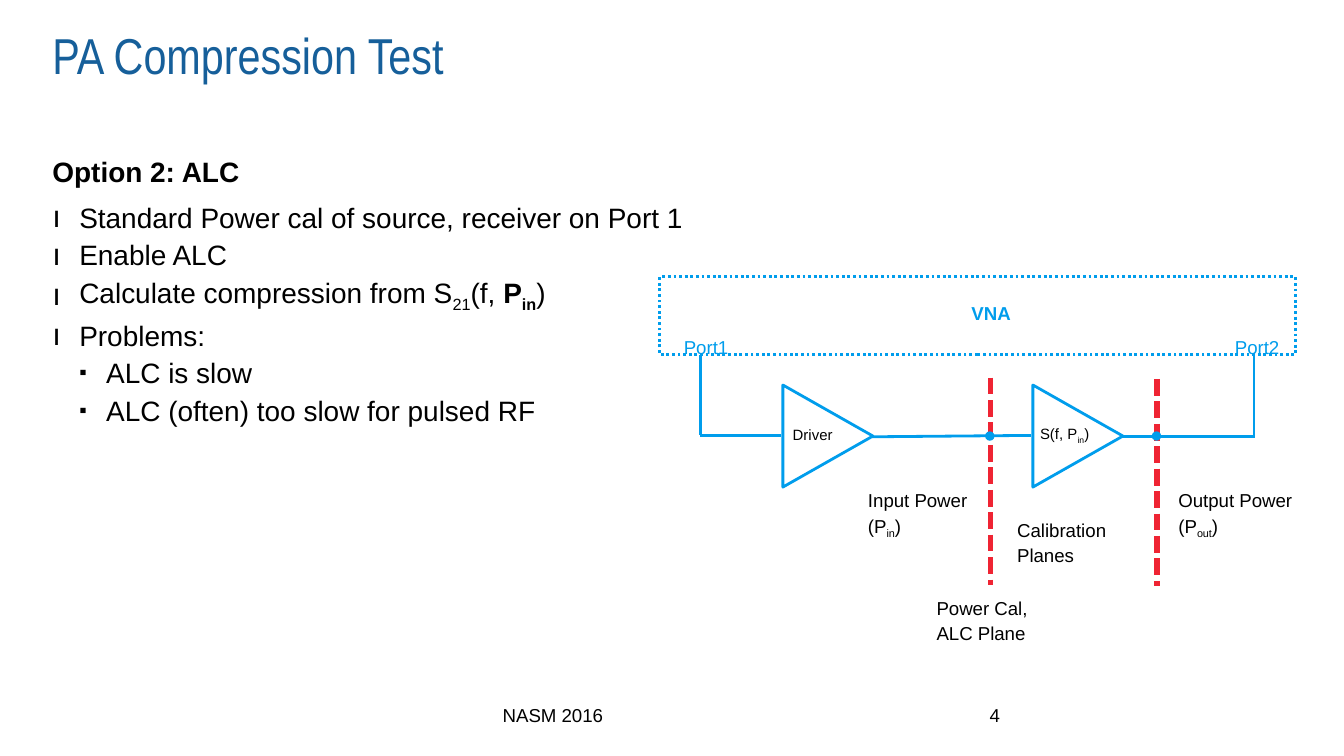
from lxml import etree
from pptx import Presentation
from pptx.dml.color import RGBColor
from pptx.enum.dml import MSO_LINE
from pptx.enum.shapes import MSO_CONNECTOR, MSO_SHAPE
from pptx.enum.text import MSO_ANCHOR, PP_ALIGN
from pptx.oxml.ns import qn
from pptx.util import Inches, Pt

BLUE, RED, BLACK, WHITE, TITLE = "009DEC", "EF2433", "000000", "FFFFFF", "165F9A"
STRAIGHT = MSO_CONNECTOR.STRAIGHT
RECT, TRIANGLE, OVAL = MSO_SHAPE.RECTANGLE, MSO_SHAPE.ISOSCELES_TRIANGLE, MSO_SHAPE.OVAL
DOTS, DASHES = MSO_LINE.ROUND_DOT, MSO_LINE.SQUARE_DOT
TOP, BOTTOM = MSO_ANCHOR.TOP, MSO_ANCHOR.BOTTOM
LEFT, RIGHT = PP_ALIGN.LEFT, PP_ALIGN.RIGHT


def color(value):
    return RGBColor.from_string(value)


def add_frame(s, at, inset=True, anchor=TOP):
    tf = s.shapes.add_textbox(*map(Inches, at)).text_frame
    tf.word_wrap = True
    tf.vertical_anchor = anchor
    if not inset:
        tf.margin_left = tf.margin_right = tf.margin_top = tf.margin_bottom = 0
    return tf


def write(p, parts, size, ink=BLACK, bold=False, font="Arial"):
    """Parts are strings; a pair adds flags: s for subscript, b for bold."""
    for part in [parts] if isinstance(parts, str) else parts:
        if part == "\n":
            p.add_line_break()
            continue
        text, flags = (part, "") if isinstance(part, str) else part
        r = p.add_run()
        r.text = text
        r.font.size, r.font.name = Pt(size), font
        r.font.bold = bold or "b" in flags
        r.font.color.rgb = color(ink)
        if "s" in flags:
            r._r.get_or_add_rPr().set("baseline", "-25000")


def add_text(s, at, text, size, align=LEFT, anchor=TOP, **style):
    p = add_frame(s, at, inset=False, anchor=anchor).paragraphs[0]
    p.alignment = align
    write(p, text, size, **style)


def add_label(s, at, parts, size=10, **style):
    p = add_frame(s, at).paragraphs[0]
    p.line_spacing, p.space_after = 1.12, Pt(6)
    write(p, parts, size, **style)


def add_bullets(s, at, items):
    tf = add_frame(s, at, inset=False)
    for i, (level, parts) in enumerate(items):
        p = tf.paragraphs[0] if i == 0 else tf.add_paragraph()
        p.level = level
        p.line_spacing = 1.12
        char, percent = ("▪", 75) if level else ("ı", 110)
        pPr = p._p.get_or_add_pPr()
        pPr.set("marL", str(Inches(0.2 * (level + 1))))
        pPr.set("indent", str(Inches(-0.2)))
        etree.SubElement(pPr, qn("a:buSzPct")).set("val", str(percent * 1000))
        etree.SubElement(pPr, qn("a:buFont")).set("typeface", "Arial")
        etree.SubElement(pPr, qn("a:buChar")).set("char", char)
        write(p, parts, 15)


def add_line(s, x1, y1, x2, y2, ink=BLUE, width=1.5, dash=None):
    line = s.shapes.add_connector(STRAIGHT, *map(Inches, (x1, y1, x2, y2)))
    line.line.color.rgb = color(ink)
    line.line.width = Pt(width)
    if dash:
        line.line.dash_style = dash
    etree.SubElement(line._element.spPr, qn("a:effectLst"))


def add_shape(s, kind, at, fill=None, line=None, dash=None, rotation=0):
    sp = s.shapes.add_shape(kind, *map(Inches, at))
    sp.shadow.inherit = False
    sp.rotation = rotation
    if fill:
        sp.fill.solid()
        sp.fill.fore_color.rgb = color(fill)
    else:
        sp.fill.background()
    if line:
        sp.line.color.rgb = color(line)
        sp.line.width = Pt(1.5)
        if dash:
            sp.line.dash_style = dash
    else:
        sp.line.fill.background()


def add_diagram(s):
    # Analyzer box and its ports
    add_shape(s, RECT, (4.91, 2.06, 4.73, 0.58), line=BLUE, dash=DOTS)
    add_label(s, (7.13, 2.18, 0.51, 0.21), "VNA", ink=BLUE, bold=True)
    for x, width, port in ((4.99, 0.6, "Port1"), (9.09, 0.64, "Port2")):
        add_label(s, (x, 2.43, width, 0.21), port, ink=BLUE)

    # Signal path
    for wire in ((5.21, 2.64, 5.21, 3.24), (5.21, 3.24, 5.81, 3.24),
                 (6.49, 3.25, 7.67, 3.24), (8.35, 3.25, 9.34, 3.25),
                 (9.33, 2.64, 9.33, 3.25)):
        add_line(s, *wire)

    # Calibration planes
    for x, y in ((7.37, 2.81), (8.61, 2.82)):
        add_line(s, x, y, x, y + 1.54, RED, 3, DASHES)
        add_shape(s, OVAL, (x - 0.04, 3.21, 0.07, 0.07), fill=BLUE)

    # Amplifiers
    for x in (5.78, 7.64):
        add_shape(s, TRIANGLE, (x, 2.91, 0.76, 0.67), WHITE, BLUE, rotation=90)
    add_label(s, (5.8, 3.1, 0.64, 0.18), "Driver", 8)
    add_label(s, (7.64, 3.09, 0.64, 0.25), ["S(f, P", ("in", "s"), ")"], 8)

    # Captions
    add_label(s, (6.36, 3.57, 1.02, 0.24), ["Input Power (P", ("in", "s"), ")"])
    add_label(s, (8.67, 3.57, 1.33, 0.24), ["Output Power (P", ("out", "s"), ")"])
    add_label(s, (6.87, 4.37, 1.02, 0.24), ["Power Cal,", "\n", "ALC Plane"])
    add_label(s, (7.47, 3.79, 1.1, 0.24), "Calibration Planes")


def main():
    prs = Presentation()
    prs.slide_width = Inches(10)
    prs.slide_height = prs.slide_width * 9 // 16
    s = prs.slides.add_slide(prs.slide_layouts[6])

    # Headings and bullets
    add_text(s, (0.39, 0.18, 9.06, 0.89), "PA Compression Test", 27,
             ink=TITLE, font="Arial Narrow")
    add_text(s, (0.39, 1.12, 9.06, 0.28), "Option 2: ALC", 15,
             anchor=BOTTOM, bold=True)
    add_bullets(s, (0.39, 1.46, 9.06, 3.48), [
        (0, "Standard Power cal of source, receiver on Port 1"),
        (0, "Enable ALC"),
        (0, ["Calculate compression from S", ("21", "s"), "(f, ",
             ("P", "b"), ("in", "bs"), ")"]),
        (0, "Problems:"),
        (1, "ALC is slow"),
        (1, "ALC (often) too slow for pulsed RF"),
    ])

    add_diagram(s)

    # Footer
    add_text(s, (3.74, 5.24, 3.15, 0.15), "NASM 2016", 10)
    add_text(s, (6.89, 5.24, 0.55, 0.15), "4", 10, align=RIGHT)

    prs.save("out.pptx")


main()
